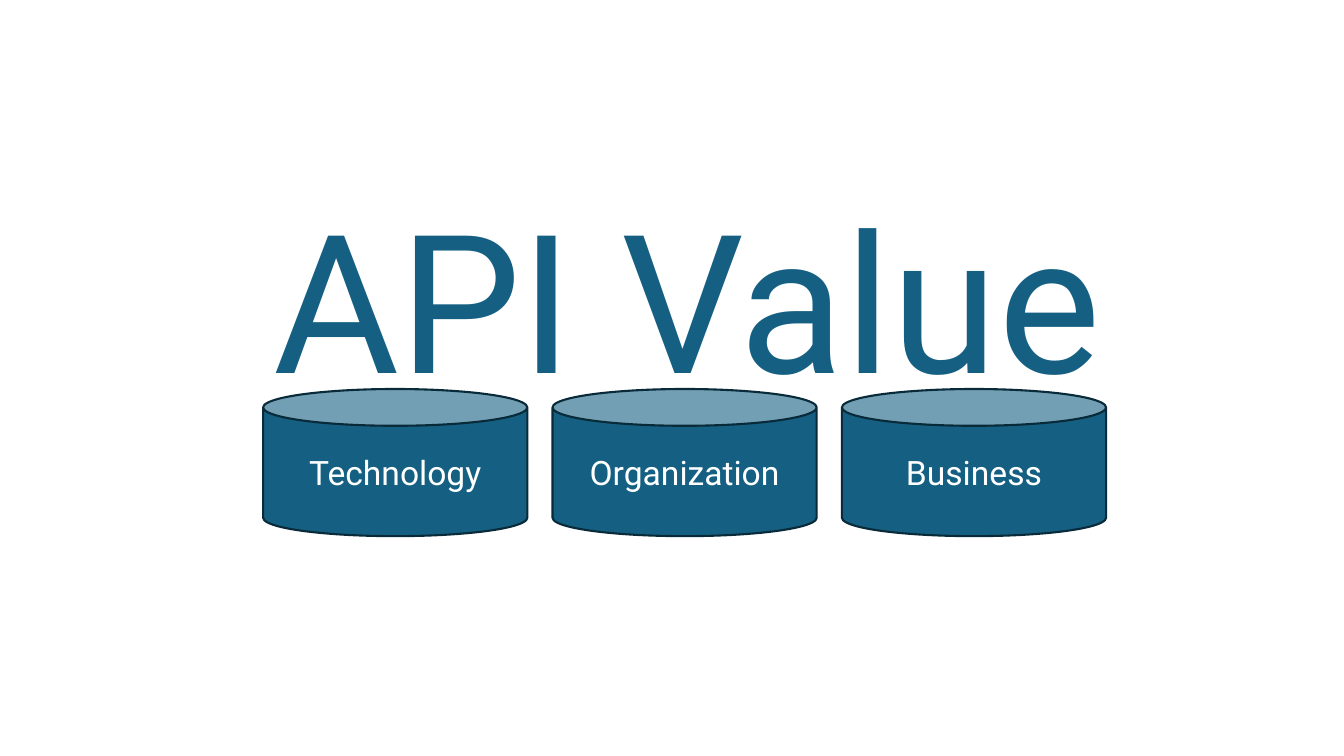
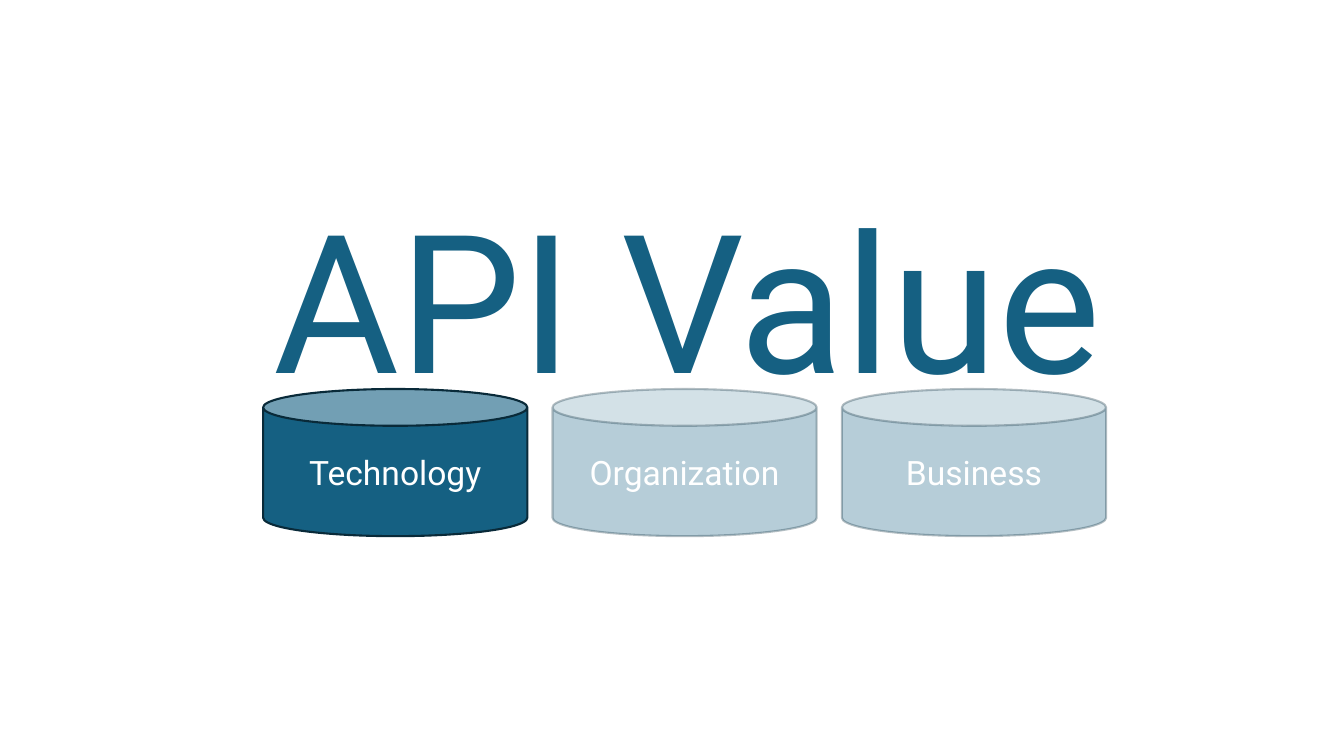
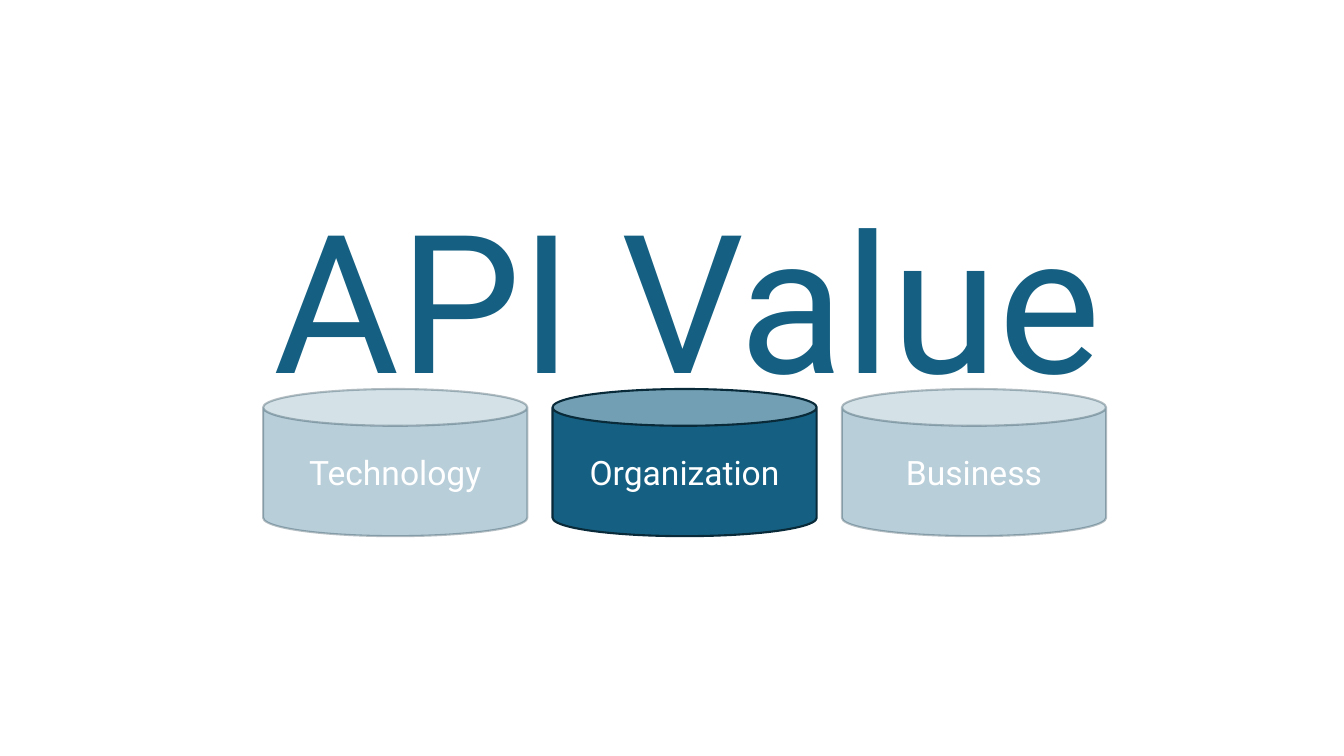
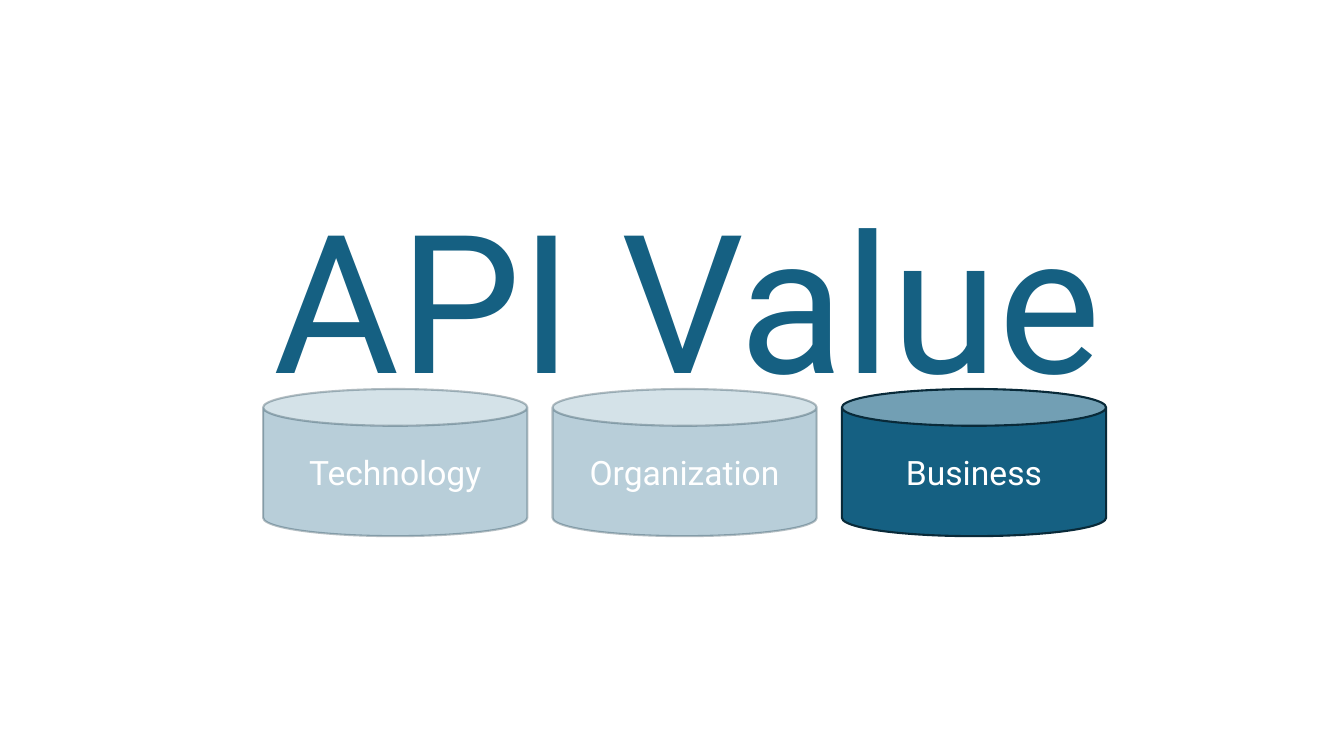
from pptx import Presentation
from pptx.dml.color import RGBColor
from pptx.enum.shapes import MSO_SHAPE
from pptx.enum.text import MSO_ANCHOR, MSO_AUTO_SIZE, PP_ALIGN
from pptx.oxml.ns import qn
from pptx.util import Inches, Pt
from lxml.etree import SubElement

# Content
TITLE = "API Value"
PILLARS = ["Technology", "Organization", "Business"]
# One entry a slide: highlighted pillar (None for all), then the
# fill and line opacity of the faded pillars in percent
SLIDES = [
    (None, 100, 100),
    ("Technology", 31, 30),
    ("Organization", 30, 30),
    ("Business", 30, 29),
]

# Shared style
BLUE, DARK, WHITE = "156082", "092A39", "FFFFFF"
FONT = "Roboto"
LEFT = 2.61
TITLE_TOP, TITLE_WIDTH, TITLE_HEIGHT = 1.74, 8.62, 2.42
CAN_TOP, CAN_WIDTH, CAN_HEIGHT, CAN_GAP = 3.86, 2.62, 1.46, 0.25
TITLE_FRAME = {"word_wrap": False, "auto_size": MSO_AUTO_SIZE.SHAPE_TO_FIT_TEXT,
               "vertical_anchor": MSO_ANCHOR.TOP}
CAN_FRAME = {"word_wrap": True, "vertical_anchor": MSO_ANCHOR.MIDDLE}


def rgb(color):
    return RGBColor.from_string(color)


def paint(fill, color, opacity=100):
    fill.solid()
    fill.fore_color.rgb = rgb(color)
    return opacity


def set_opacity(parent, opacity):
    """Add transparency to the solid fill directly inside parent."""
    if opacity < 100:
        color = parent.find(qn("a:solidFill")).find(qn("a:srgbClr"))
        SubElement(color, qn("a:alpha")).set("val", str(opacity * 1000))


def place(shape, left, top, width, height):
    box = {"left": left, "top": top, "width": width, "height": height}
    for name, value in box.items():
        setattr(shape, name, Inches(value))


def write(shape, text, size, color, alignment, frame_format):
    frame = shape.text_frame
    frame.text = text
    for name, value in frame_format.items():
        setattr(frame, name, value)
    para = frame.paragraphs[0]
    para.alignment = alignment
    span = para.runs[0]
    for name, value in {"name": FONT, "size": Pt(size), "bold": False}.items():
        setattr(span.font, name, value)
    span.font.color.rgb = rgb(color)


def add_title(page):
    title = page.shapes.title
    place(title, LEFT, TITLE_TOP, TITLE_WIDTH, TITLE_HEIGHT)
    write(title, TITLE, 138, BLUE, PP_ALIGN.LEFT, TITLE_FRAME)


def add_pillar(page, index, label, fill_opacity, line_opacity):
    left = LEFT + index * (CAN_WIDTH + CAN_GAP)
    can = page.shapes.add_shape(
        MSO_SHAPE.CAN, Inches(left), Inches(CAN_TOP),
        Inches(CAN_WIDTH), Inches(CAN_HEIGHT))
    can.shadow.inherit = False
    paint(can.fill, BLUE)
    paint(can.line.fill, DARK)
    can.line.width = Pt(1.5)
    properties = can.element.spPr
    set_opacity(properties, fill_opacity)
    set_opacity(properties.find(qn("a:ln")), line_opacity)
    write(can, label, 24, WHITE, PP_ALIGN.CENTER, CAN_FRAME)


def main():
    deck = Presentation()
    deck.slide_width, deck.slide_height = Inches(13.33), Inches(7.5)
    title_only = deck.slide_layouts[5]
    for highlight, fill_opacity, line_opacity in SLIDES:
        page = deck.slides.add_slide(title_only)
        paint(page.background.fill, WHITE)
        add_title(page)
        for index, label in enumerate(PILLARS):
            solid = highlight in (None, label)
            add_pillar(page, index, label,
                       100 if solid else fill_opacity,
                       100 if solid else line_opacity)
    deck.save("out.pptx")


if __name__ == "__main__":
    main()
